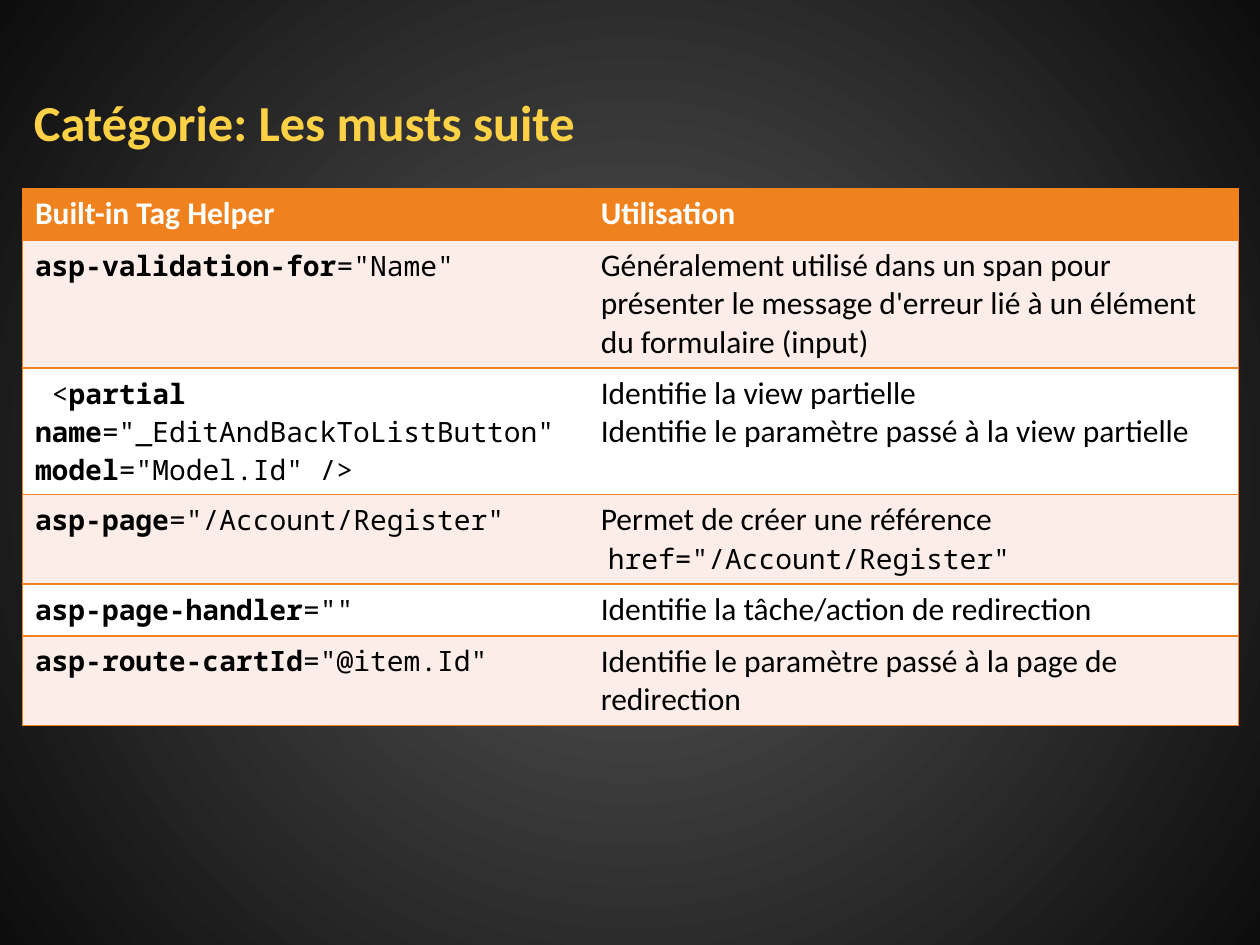
from pptx import Presentation
from pptx.dml.color import RGBColor
from pptx.enum.text import MSO_ANCHOR, MSO_AUTO_SIZE, PP_ALIGN
from pptx.oxml.ns import qn
from pptx.util import Pt
from lxml import etree

MIDDLE = MSO_ANCHOR.MIDDLE
NO_FIT = MSO_AUTO_SIZE.NONE
LEFT = PP_ALIGN.LEFT
TEXT, CODE = "Calibri", "Noto Sans Mono"
ORANGE, PINK, WHITE, BLACK, YELLOW = "F0821E", "FCEDE8", "FFFFFF", "000000", "FDD146"


def rgb(value):
    return RGBColor.from_string(value)


def add_run(p, text, font, size, color, bold):
    r = p.add_run()
    r.text = text
    r.font.name, r.font.size, r.font.bold = font, Pt(size), bold
    r.font.color.rgb = rgb(color)


prs = Presentation()
prs.slide_width, prs.slide_height = Pt(720), Pt(540)
s = prs.slides.add_slide(prs.slide_layouts[5])

fill = s.background.fill
fill.gradient()
for stop, position, color in zip(fill.gradient_stops, (0, 1), ("595959", "0D0D0D")):
    stop.position = position
    stop.color.rgb = rgb(color)
grad = next(s.element.iter(qn("a:gradFill")))
grad.remove(grad.find(qn("a:lin")))
circle = etree.SubElement(grad, qn("a:path"), path="circle")
etree.SubElement(circle, qn("a:fillToRect"), l="50000", t="50000", r="50000", b="50000")

title = s.shapes.title
title.left, title.top, title.width, title.height = Pt(12.2), Pt(48.2), Pt(612), Pt(42)
tf = title.text_frame
tf.auto_size = NO_FIT
tf.vertical_anchor = MIDDLE
p = tf.paragraphs[0]
p.alignment = LEFT
add_run(p, "Catégorie: Les musts suite", TEXT, 28.8, YELLOW, True)

rows = [
    ([("Built-in Tag Helper", TEXT, True)], [[("Utilisation", TEXT, True)]]),
    ([("asp-validation-for", CODE, True), ('="Name"', CODE, False)],
     [[("Généralement utilisé dans un span pour présenter le message d'erreur "
        "lié à un élément du formulaire (input)", TEXT, False)]]),
    ([(" <", CODE, False), ("partial name", CODE, True),
      ('="_EditAndBackToListButton" ', CODE, False),
      ("model", CODE, True), ('="Model.Id" />', CODE, False)],
     [[("Identifie la view partielle", TEXT, False)],
      [("Identifie le paramètre passé à la view partielle", TEXT, False)]]),
    ([("asp-page", CODE, True), ('="/Account/Register"', CODE, False)],
     [[("Permet de créer une référence", TEXT, False)],
      [(" ", TEXT, False), ('href="/Account/Register"', CODE, False)]]),
    ([("asp-page-handler", CODE, True), ('=""', CODE, False)],
     [[("Identifie la tâche/action de redirection", TEXT, False)]]),
    ([("asp-route-cartId", CODE, True), ('="@item.Id"', CODE, False)],
     [[("Identifie le paramètre passé à la page de redirection", TEXT, False)]]),
]

table = s.shapes.add_table(len(rows), 2, Pt(12.8), Pt(107.7), Pt(694.8), Pt(177)).table
table.horz_banding = False
table.columns[0].width, table.columns[1].width = Pt(323.3), Pt(371.5)
for i, (helper, usage) in enumerate(rows):
    table.rows[i].height = Pt(29.5)
    background = ORANGE if i == 0 else PINK if i % 2 else WHITE
    color = WHITE if i == 0 else BLACK
    for j, paragraphs in enumerate(([helper], usage)):
        cell = table.cell(i, j)
        tf = cell.text_frame
        for k, runs in enumerate(paragraphs):
            p = tf.add_paragraph() if k else tf.paragraphs[0]
            for text, font, bold in runs:
                add_run(p, text, font, 16 if font == CODE else 18, color, bold)
        tcPr = cell._tc.get_or_add_tcPr()
        inner = "R" if j == 0 else "L"
        for side in "LRTB":
            ln = etree.SubElement(tcPr, qn("a:ln" + side), w=str(Pt(1)))
            if side == inner:
                etree.SubElement(ln, qn("a:noFill"))
            else:
                solid = etree.SubElement(ln, qn("a:solidFill"))
                etree.SubElement(solid, qn("a:srgbClr"), val=ORANGE)
        cell.fill.solid()
        cell.fill.fore_color.rgb = rgb(background)

prs.save("out.pptx")
